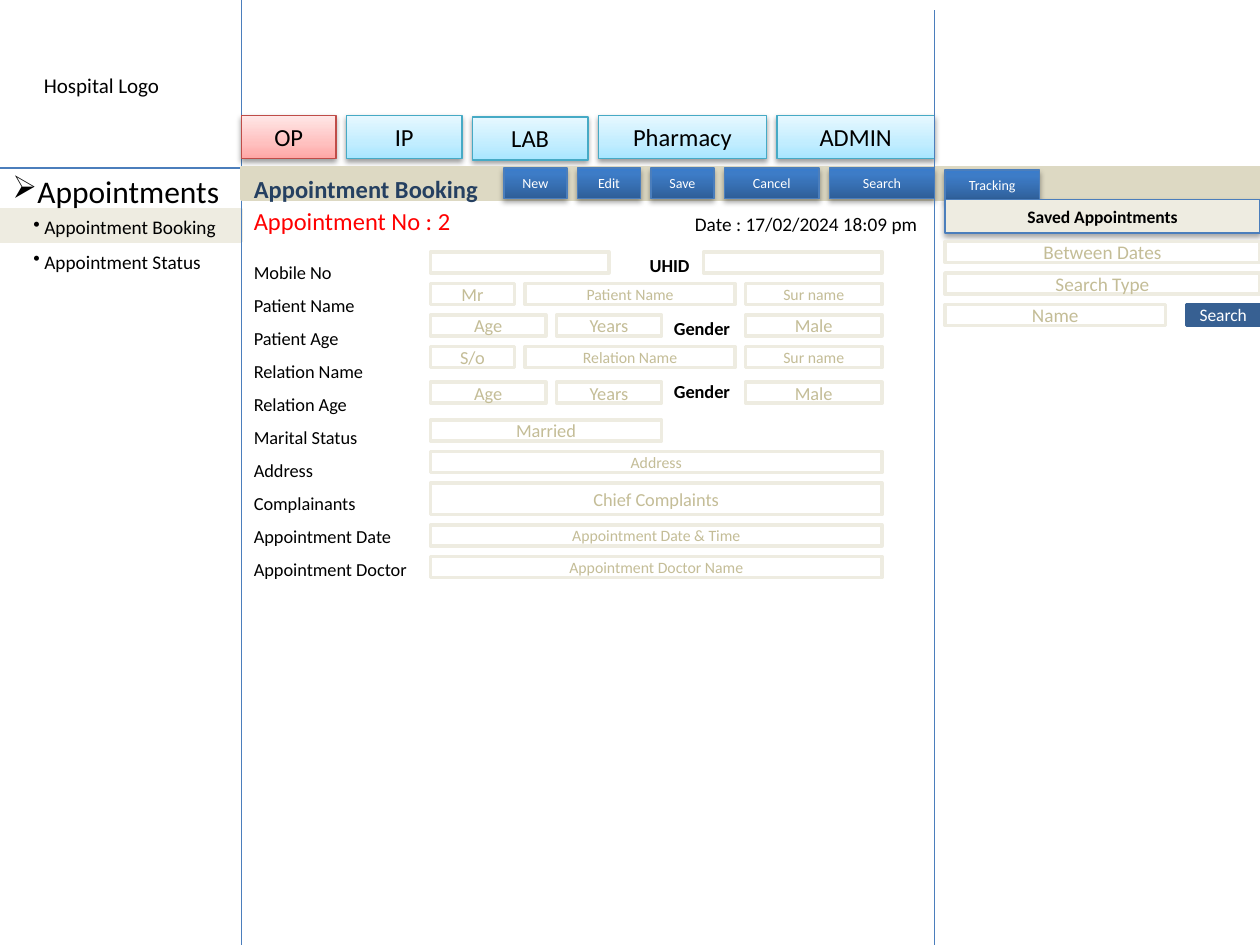
import copy

import pptx
import pptx.dml.color
import pptx.enum.shapes
import pptx.enum.text
import pptx.oxml
import pptx.oxml.ns
import pptx.util

Cm, Pt = pptx.util.Cm, pptx.util.Pt
qn = pptx.oxml.ns.qn
ALIGN = pptx.enum.text.PP_ALIGN
ANCHOR = pptx.enum.text.MSO_ANCHOR
FIT = pptx.enum.text.MSO_AUTO_SIZE

GRID = 2.54 / 12  # the slide is 120 by 90 grid units
GAP = 1
HUES = {
    "black": "000000", "white": "FFFFFF", "red": "FF0000", "navy": "254061",
    "blue": "4B7EBC", "steel": "376092", "cream": "EEECE1", "sand": "DDD9C3",
    "hint": "C4BD97", "rose": "BF4C48", "teal": "46AAC5",
}
FADES = {
    "rose": [(0, "FFA6A5"), (0.35, "FFC0BF"), (1, "FFE7E7")],
    "teal": [(0, "A7E6FF"), (0.35, "C1EDFF"), (1, "E7F8FF")],
    "blue": [(0, "2F5F99"), (0.8, "3D7CC7"), (1, "3A7CCB")],
}


def unit(num):
    return Cm(num * GRID)


def rgb(code):
    return pptx.dml.color.RGBColor.from_string(code)


class Page:
    font = "Calibri"

    def __init__(self, deck):
        self.slide = deck.slides.add_slide(deck.slide_layouts[6])

    def words(self, para, text, size, hue, bold=False):
        run = para.add_run()
        run.text = text
        run.font.name = self.font
        run.font.size = Pt(size)
        run.font.bold = bold
        run.font.color.rgb = rgb(HUES[hue])

    def rect(self, x, y, wide, high, fill, edge, weight=2):
        box = self.slide.shapes.add_shape(
            pptx.enum.shapes.MSO_SHAPE.RECTANGLE,
            unit(x), unit(y), unit(wide), unit(high))
        box.shadow.inherit = False
        if fill:
            box.fill.solid()
            box.fill.fore_color.rgb = rgb(HUES[fill])
        box.line.color.rgb = rgb(HUES[edge])
        box.line.width = Pt(weight)
        return box

    def label(self, box, text, size, hue, bold=False):
        para = box.text_frame.paragraphs[0]
        para.alignment = ALIGN.CENTER
        self.words(para, text, size, hue, bold)

    def fade(self, box, name):
        box.fill.gradient()
        box.fill.gradient_angle = 90
        stops = box._element.spPr.find(qn("a:gradFill")).find(qn("a:gsLst"))
        stops.insert(0, copy.deepcopy(stops[0]))
        for stop, (place, code) in zip(box.fill.gradient_stops, FADES[name]):
            stop.position = place
            stop.color.rgb = rgb(code)

    def shade(self, box, drop, alpha):
        xml = (f'<a:outerShdw {pptx.oxml.ns.nsdecls("a")} blurRad="{Pt(3.1)}" '
               f'dist="{Pt(drop)}" dir="5400000" rotWithShape="0">'
               f'<a:srgbClr val="{HUES["black"]}"><a:alpha val="{alpha}000"/>'
               '</a:srgbClr></a:outerShdw>')
        box._element.spPr.find(qn("a:effectLst")).append(pptx.oxml.parse_xml(xml))

    def grow(self, box):
        box.text_frame.vertical_anchor = ANCHOR.TOP
        box.text_frame.auto_size = FIT.SHAPE_TO_FIT_TEXT

    def tab(self, x, y, wide, text, hue="teal"):
        box = self.rect(x, y, wide, 4.1, None, hue, 0.75)
        self.fade(box, hue)
        self.shade(box, 1.6, 38)
        self.label(box, text, 14, "black")
        self.grow(box)

    def button(self, x, y, wide, text):
        box = self.rect(x, y, wide, 2.9, None, "blue", 0.75)
        self.fade(box, "blue")
        self.shade(box, 1.8, 35)
        self.label(box, text, 8, "white")
        self.grow(box)

    def field(self, x, y, wide, text="", size=10.5, high=2):
        box = self.rect(x, y, wide, high, "white", "cream")
        if text:
            self.label(box, text, size, "hint")

    def row(self, x, y, cells):
        for wide, text, size in cells:
            self.field(x, y, wide, text, size)
            x += wide + GAP

    def text(self, x, y, wide, high, lines, size, hue="black", bold=False,
             space=None, mark=None, hang=0, wrap=False):
        box = self.slide.shapes.add_textbox(unit(x), unit(y), unit(wide), unit(high))
        frame = box.text_frame
        frame.word_wrap = wrap
        frame.auto_size = FIT.SHAPE_TO_FIT_TEXT
        for num, line in enumerate(lines):
            para = frame.add_paragraph() if num else frame.paragraphs[0]
            if mark:
                props = para._p.get_or_add_pPr()
                props.set("marL", str(Cm(hang)))
                props.set("indent", str(-Cm(hang)))
                props.append(pptx.oxml.parse_xml(
                    f'<a:buChar {pptx.oxml.ns.nsdecls("a")} char="{mark}"/>'))
            if space:
                para.line_spacing = space
            self.words(para, line, size, hue, bold)

    def rule(self, x, y, end_x, end_y):
        line = self.slide.shapes.add_connector(
            pptx.enum.shapes.MSO_CONNECTOR.STRAIGHT,
            unit(x), unit(y), unit(end_x), unit(end_y))
        line.line.color.rgb = rgb(HUES["blue"])
        line.line.width = Pt(0.75)
        line._element.spPr.append(pptx.oxml.parse_xml(
            f'<a:effectLst {pptx.oxml.ns.nsdecls("a")}/>'))


def main():
    deck = pptx.Presentation()
    deck.slide_width, deck.slide_height = Cm(25.4), Cm(19.05)
    page = Page(deck)

    # Frame and top tabs
    page.rect(0, 20, 23, 3, "cream", "cream")
    page.rule(0, 16, 120, 16)
    page.rule(23, 0, 23, 90)
    page.text(3, 6.36, 13.6, 3.6, ["Hospital Logo"], 12)
    page.tab(23, 11, 9, "OP", "rose")
    x = 33
    for wide, y, name in [(11, 11, "IP"), (11, 11.15, "LAB"),
                          (16, 11, "Pharmacy"), (15, 11, "ADMIN")]:
        page.tab(x, y, wide, name)
        x += wide + GAP

    # Title band and buttons
    page.rect(23, 16, 97, 3, "sand", "sand")
    page.text(23, 16, 23.9, 4.1, ["Appointment Booking"], 14, "navy", True)
    x = 48
    for wide, name in [(6, "New"), (6, "Edit"), (6, "Save"),
                       (9, "Cancel"), (10, "Search")]:
        page.button(x, 16, wide, name)
        x += wide + GAP
    page.button(90, 16.2, 9, "Tracking")

    # Side menu
    page.text(0, 14, 22.3, 6.1, ["Appointments"], 18, space=1.5, mark="➢", hang=0.48)
    page.text(2, 18.8, 20, 7.9, ["Appointment Booking", "Appointment Status"], 11,
              space=1.5, mark="•", hang=0.22)

    # Form labels
    page.text(23, 23.2, 22.1, 33, [
        "Mobile No", "Patient Name", "Patient Age", "Relation Name", "Relation Age",
        "Marital Status", "Address", "Complainants", "Appointment Date",
        "Appointment Doctor"], 10.5, space=1.5, wrap=True)
    page.text(23, 19, 21.4, 4.1, ["Appointment No : 2"], 14, "red")
    page.text(65, 19.6, 23.9, 3.5, ["Date : 17/02/2024 18:09 pm"], 11)
    page.text(60.7, 23.6, 6.2, 3.4, ["UHID"], 10.5, bold=True)

    # Form fields
    for x in (41, 67):
        page.field(x, 24, 17)
    for y, title, name in [(27, "Mr", "Patient Name"), (33, "S/o", "Relation Name")]:
        page.row(41, y, [(8, title, 10.5), (20, name, 9), (13, "Sur name", 9)])
    for y, top in [(30, 29.6), (36.4, 35.6)]:
        page.row(41, y, [(11, "Age", 10.5), (10, "Years", 10.5)])
        page.text(63, top, 7.8, 3.4, ["Gender"], 10.5, bold=True)
        page.field(71, y, 13, "Male")
    page.field(41, 40, 22, "Married")
    page.field(41, 46, 43, "Chief Complaints", high=3)
    for y, name in [(43, "Address"), (50, "Appointment Date & Time"),
                    (53, "Appointment Doctor Name")]:
        page.field(41, y, 43, name, 9)

    # Saved appointments panel
    page.rule(89, 1, 89, 90)
    head = page.rect(90, 19, 30, 3.2, "cream", "blue", 0.75)
    page.shade(head, 1.8, 35)
    page.label(head, "Saved Appointments", 10, "black", True)
    page.grow(head)
    for y, wide, name in [(23, 30, "Between Dates"), (26, 30, "Search Type"),
                          (29, 21, "Name")]:
        page.field(90, y, wide, name, 11)
    seek = page.rect(113, 29, 7, 2, "steel", "steel")
    page.label(seek, "Search", 10, "white")

    deck.save("out.pptx")


if __name__ == "__main__":
    main()
